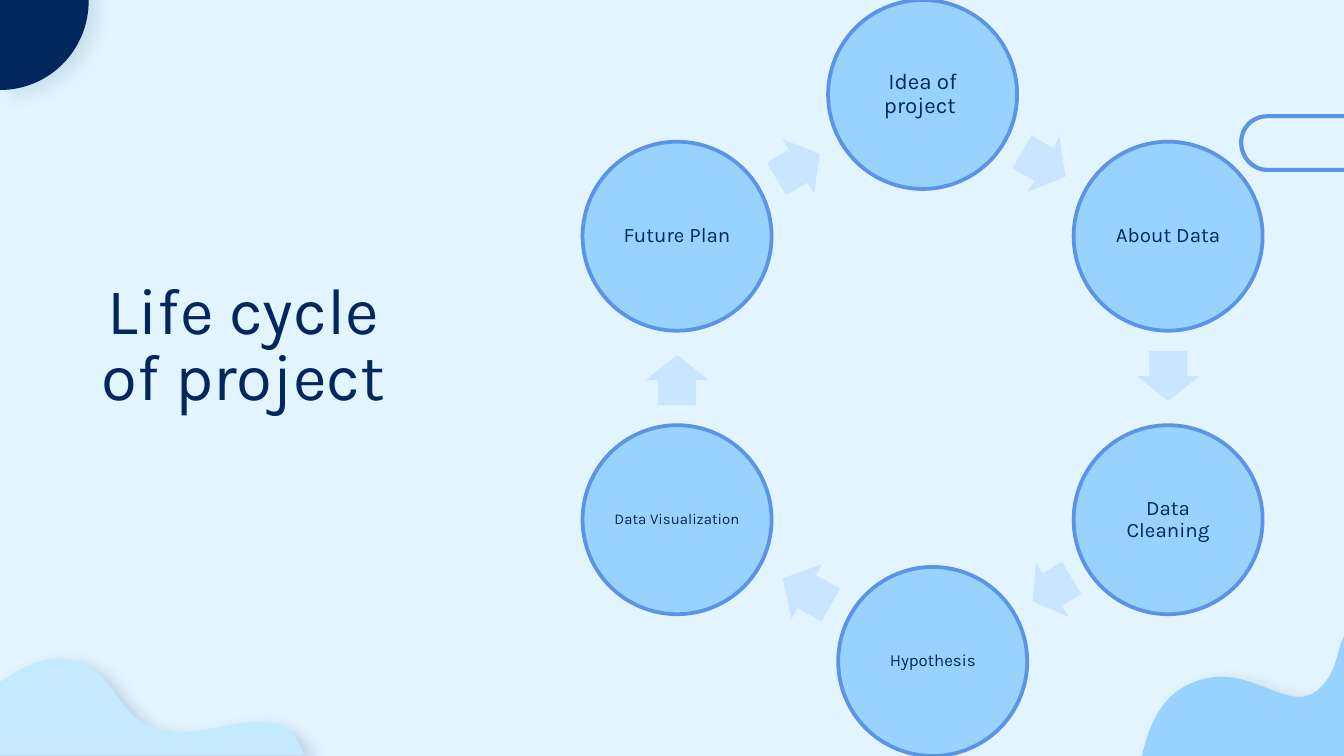
import math
from lxml import etree
from pptx import Presentation
from pptx import util as u
from pptx.dml.color import RGBColor
from pptx.enum import shapes, text
from pptx.oxml.ns import qn

WIDE, HIGH = u.Inches(10), u.Inches(5.625)
CELL = WIDE / 1000
ROWS = HIGH / CELL
FONT = "Karla"
HUES = {"back": "E2F5FF", "navy": "02275E", "edge": "5B93E9",
        "disc": "98D2FF", "pale": "C5EAFF", "arrow": "CAE5FF"}

PILL = [(160, 0), (160, 3), (21, 3), (11, 3, 3, 11, 3, 21), (3, 31, 11, 40, 21, 40),
        (160, 40), (160, 43), (21, 43), (9, 43, 0, 33, 0, 21), (0, 9, 9, 0, 21, 0)]
DOME = [(0, 133), (37, 133, 66, 103, 66, 67), (66, 30, 37, 0, 0, 0)]
HILL = [(179, 0), (138, 14, 158, 37, 134, 59), (109, 80, 80, 32, 34, 57),
        (1, 75, 0, 131, 0, 131), (179, 131)]
WAVE = [(150, 0), (152, 0, 154, 1, 157, 1), (194, 7, 189, 44, 226, 53),
        (230, 54, 234, 55, 239, 55), (258, 55, 280, 47, 298, 47),
        (313, 47, 326, 52, 332, 72), (0, 72), (0, 26), (8, 22, 15, 21, 21, 21),
        (35, 21, 46, 30, 65, 33), (66, 33, 68, 34, 69, 34), (93, 34, 118, 0, 150, 0)]

STEPS = [("Idea of project ", 12, 0), ("About Data", 11, 0), ("Data Cleaning", 11, 0),
         ("Hypothesis", 9, 7.5), ("Data Visualization", 8, 0), ("Future Plan", 11, 0)]


def hue(name):
    return RGBColor.from_string(HUES[name])


def span(*cells):
    return [u.Emu(round(cell * CELL)) for cell in cells]


def paint(shape, fill, edge=None):
    shape.shadow.inherit = False
    shape.fill.solid()
    shape.fill.fore_color.rgb = hue(fill)
    if edge:
        shape.line.color.rgb = hue(edge)
        shape.line.width = u.Pt(2)
    else:
        shape.line.fill.background()


def cast(shape, alpha):
    effects = shape.element.spPr.find(qn("a:effectLst"))
    shade = etree.SubElement(effects, qn("a:outerShdw"), blurRad=str(u.Pt(9)),
                             dist=str(u.Pt(6)), dir=str(33 * 60000),
                             algn="bl", rotWithShape="0")
    tint = etree.SubElement(shade, qn("a:srgbClr"), val=HUES["navy"])
    etree.SubElement(tint, qn("a:alpha"), val=str(alpha * 1000))


def bend(shape, left, top, legs):
    lines = list(shape.element.iter(qn("a:lnTo")))
    for line, leg in zip(lines, legs):
        if len(leg) == 2:
            continue
        curve = etree.Element(qn("a:cubicBezTo"))
        for x, y in zip(leg[::2], leg[1::2]):
            across, down = span(left + x, top + y)
            etree.SubElement(curve, qn("a:pt"), x=str(across - shape.left),
                             y=str(down - shape.top))
        line.getparent().replace(line, curve)


def blob(slide, left, top, route, fill, alpha=None):
    ends = [span(left + leg[-2], top + leg[-1]) for leg in route]
    form = slide.shapes.build_freeform(*ends[0])
    form.add_line_segments(ends[1:], close=True)
    shape = form.convert_to_shape()
    bend(shape, left, top, route[1:])
    paint(shape, fill)
    if alpha:
        cast(shape, alpha)


def write(frame, words, size, inset, lead):
    frame.word_wrap = True
    frame.margin_left = frame.margin_right = inset
    frame.margin_top = frame.margin_bottom = inset
    para = frame.paragraphs[0]
    para.text = words
    para.alignment = text.PP_ALIGN.CENTER
    para.line_spacing = lead
    for run in para.runs:
        run.font.size = u.Pt(size)
        run.font.name = FONT
        run.font.color.rgb = hue("navy")


def title(slide, box):
    label = slide.shapes.add_textbox(*span(*box))
    label.text_frame.vertical_anchor = text.MSO_ANCHOR.TOP
    write(label.text_frame, "Life cycle \nof project ", 35, span(10)[0], 0.85)


def disc(slide, x, y, size, words, points):
    shape = slide.shapes.add_shape(shapes.MSO_SHAPE.OVAL,
                                   *span(x - size / 2, y - size / 2, size, size))
    paint(shape, "disc", "edge")
    shape.text_frame.vertical_anchor = text.MSO_ANCHOR.MIDDLE
    write(shape.text_frame, words, points, span(2)[0], 0.9)


def arrow(slide, start, end, size):
    dx, dy = end[0] - start[0], end[1] - start[1]
    long, tall = 0.53 * (math.hypot(dx, dy) - size), size / 3
    x, y = start[0] + 0.493 * dx, start[1] + 0.493 * dy
    shape = slide.shapes.add_shape(shapes.MSO_SHAPE.RIGHT_ARROW,
                                   *span(x - long / 2, y - tall / 2, long, tall))
    shape.adjustments[0], shape.adjustments[1] = 0.6, 0.5
    shape.rotation = math.degrees(math.atan2(dy, dx)) % 360
    paint(shape, "arrow")


def cycle(slide, box):
    left, top, wide, high = box
    size, reach = high / 4, high * 3 / 8
    spots = []
    for place, (_, _, shift) in enumerate(STEPS):
        turn = math.radians(60 * place - 90)
        spots.append((left + wide / 2 + reach * math.cos(turn) + shift,
                      top + high / 2 + reach * math.sin(turn)))
    for place, (words, points, _) in enumerate(STEPS):
        disc(slide, *spots[place], size, words, points)
        arrow(slide, spots[place], spots[(place + 1) % len(spots)], size)


def main():
    deck = Presentation()
    deck.slide_width, deck.slide_height = WIDE, HIGH
    slide = deck.slides.add_slide(deck.slide_layouts[6])
    slide.background.fill.solid()
    slide.background.fill.fore_color.rgb = hue("back")
    blob(slide, 922, 85, PILL, "edge")
    blob(slide, 0, -66, DOME, "navy", 10)
    blob(slide, 847, 454, HILL, "disc", 20)
    blob(slide, -106, 490, WAVE, "pale", 20)
    title(slide, (-235, 199, 844, 69))
    cycle(slide, (433.5, 0, 506, ROWS))
    deck.save("out.pptx")


if __name__ == "__main__":
    main()
